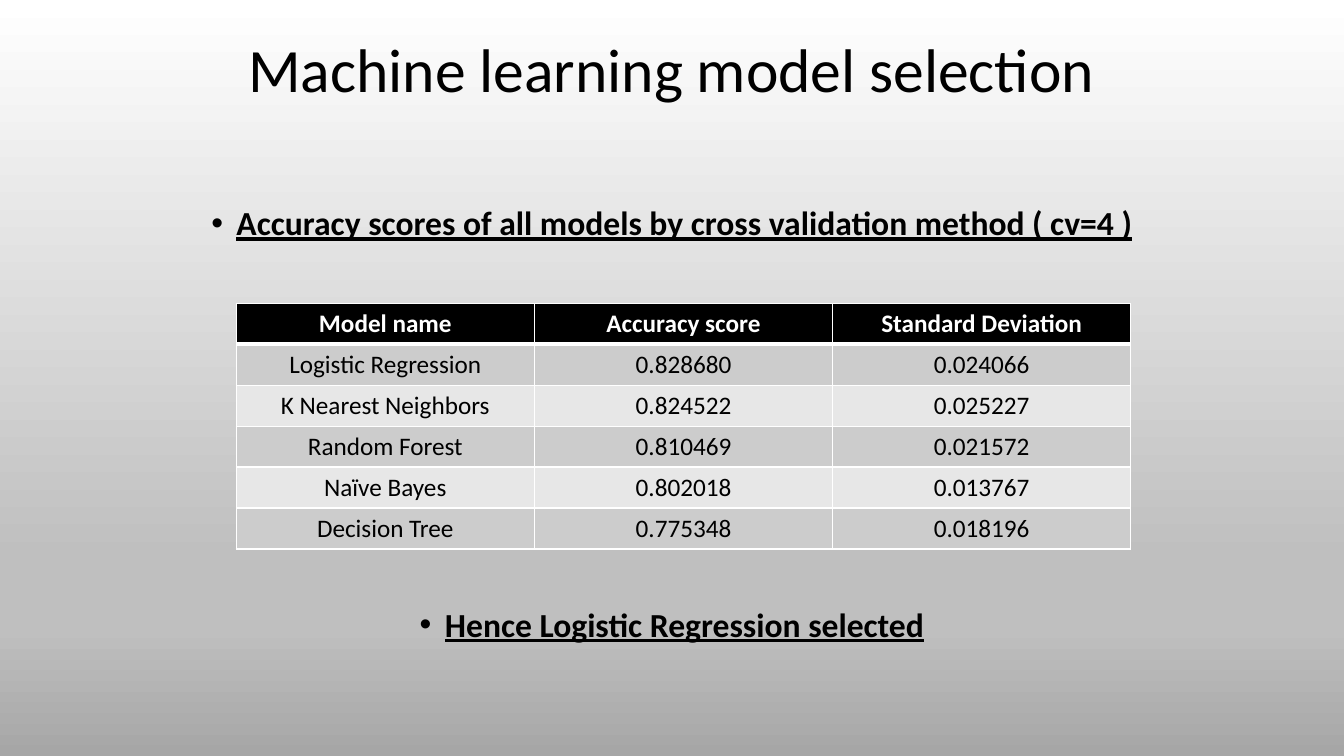
from dataclasses import dataclass

from lxml.etree import SubElement
from pptx import Presentation
from pptx.dml.color import RGBColor
from pptx.enum.text import MSO_ANCHOR as Anchor, PP_ALIGN as Align
from pptx.oxml.ns import qn
from pptx.slide import Slide
from pptx.table import _Cell as Cell
from pptx.text.text import _Paragraph as Paragraph, TextFrame
from pptx.util import Pt

EMU_PER_PX = 9525
FONT = "Calibri"
BLACK, WHITE = "000000", "FFFFFF"
BAND_FILLS = ("CCCCCC", "E7E7E7")
BACKGROUND_STOPS = ((0, "FFFFFF"), (74, "BFBFBF"), (83, "BFBFBF"), (100, "A6A6A6"))
BULLET_INDENT = 24
COLUMN_WIDTH, ROW_HEIGHT = 284, 39


@dataclass(frozen=True)
class Box:
    left: int
    top: int
    width: int
    height: int

    def emu(self) -> tuple[int, int, int, int]:
        return px(self.left), px(self.top), px(self.width), px(self.height)


@dataclass(frozen=True)
class Point:
    text: str
    space_before: int


@dataclass(frozen=True)
class ModelScore:
    name: str
    accuracy: str
    deviation: str

    def values(self) -> tuple[str, str, str]:
        return self.name, self.accuracy, self.deviation


TITLE_BOX = Box(88, 0, 1104, 139)
BODY_BOX = Box(88, 192, 1104, 457)
POINTS = (
    Point("Accuracy scores of all models by cross validation method ( cv=4 )", 10),
    Point("Hence Logistic Regression selected", 261),
)
HEADINGS = ModelScore("Model name", "Accuracy score", "Standard Deviation")
SCORES = (
    ModelScore("Logistic Regression", "0.828680", "0.024066"),
    ModelScore("K Nearest Neighbors", "0.824522", "0.025227"),
    ModelScore("Random Forest", "0.810469", "0.021572"),
    ModelScore("Naïve Bayes", "0.802018", "0.013767"),
    ModelScore("Decision Tree", "0.775348", "0.018196"),
)
TABLE_BOX = Box(225, 289, 3 * COLUMN_WIDTH, (len(SCORES) + 1) * ROW_HEIGHT)


def px(length: int) -> int:
    return length * EMU_PER_PX


def rgb(color: str) -> RGBColor:
    return RGBColor.from_string(color)


def write_text(paragraph: Paragraph, text: str, *, size: int, color: str = BLACK,
               bold: bool = False, underline: bool = False,
               line_spacing: float = 1.0, space_before: int = 0) -> None:
    paragraph.alignment = Align.CENTER
    paragraph.line_spacing = line_spacing
    paragraph.space_before = Pt(space_before)
    run = paragraph.add_run()
    run.text = text
    font = run.font
    font.name, font.size = FONT, Pt(size)
    font.bold, font.underline = bold, underline
    font.color.rgb = rgb(color)


def add_bullet(paragraph: Paragraph) -> None:
    properties = paragraph._p.get_or_add_pPr()
    properties.set("marL", str(px(BULLET_INDENT)))
    properties.set("indent", str(-px(BULLET_INDENT)))
    SubElement(properties, qn("a:buFont"), typeface="Arial")
    SubElement(properties, qn("a:buChar"), char="•")


def set_background(slide: Slide) -> None:
    fill = slide.background.fill
    fill.gradient()
    fill.gradient_angle = 270
    stop_list = next(slide.element.iter(qn("a:gsLst")))
    for stop in list(stop_list):
        stop_list.remove(stop)
    for percent, color in BACKGROUND_STOPS:
        stop = SubElement(stop_list, qn("a:gs"), pos=str(percent * 1000))
        SubElement(stop, qn("a:srgbClr"), val=color)


def add_text_frame(slide: Slide, box: Box, anchor: Anchor) -> TextFrame:
    frame = slide.shapes.add_textbox(*box.emu()).text_frame
    frame.word_wrap = True
    frame.vertical_anchor = anchor
    return frame


def set_borders(cell: Cell, top: int, bottom: int) -> None:
    """Draw white borders; widths in points, with 1 point at the sides."""
    properties = cell._tc.get_or_add_tcPr()
    widths = {"a:lnL": 1, "a:lnR": 1, "a:lnT": top, "a:lnB": bottom}
    for position, (tag, width) in enumerate(widths.items()):
        line = SubElement(properties, qn(tag), w=str(Pt(width)))
        SubElement(SubElement(line, qn("a:solidFill")), qn("a:srgbClr"), val=WHITE)
        properties.insert(position, line)


def add_score_table(slide: Slide) -> None:
    rows = (HEADINGS, *SCORES)
    table = slide.shapes.add_table(len(rows), 3, *TABLE_BOX.emu()).table
    table.horz_banding = False
    for column in table.columns:
        column.width = px(COLUMN_WIDTH)
    for row_index, score in enumerate(rows):
        table.rows[row_index].height = px(ROW_HEIGHT)
        is_header = row_index == 0
        fill_color = BLACK if is_header else BAND_FILLS[(row_index - 1) % 2]
        for column_index, value in enumerate(score.values()):
            cell = table.cell(row_index, column_index)
            cell.fill.solid()
            cell.fill.fore_color.rgb = rgb(fill_color)
            set_borders(cell, top=3 if row_index == 1 else 1, bottom=3 if is_header else 1)
            write_text(cell.text_frame.paragraphs[0], value, size=18, bold=is_header,
                       color=WHITE if is_header else BLACK)


def main() -> None:
    presentation = Presentation()
    presentation.slide_width, presentation.slide_height = px(1280), px(720)
    slide = presentation.slides.add_slide(presentation.slide_layouts[6])
    set_background(slide)

    title = add_text_frame(slide, TITLE_BOX, Anchor.MIDDLE)
    write_text(title.paragraphs[0], "Machine learning model selection",
               size=44, line_spacing=0.9)

    body = add_text_frame(slide, BODY_BOX, Anchor.TOP)
    for index, point in enumerate(POINTS):
        paragraph = body.add_paragraph() if index else body.paragraphs[0]
        write_text(paragraph, point.text, size=24, bold=True, underline=True,
                   line_spacing=0.9, space_before=point.space_before)
        add_bullet(paragraph)

    add_score_table(slide)
    presentation.save("out.pptx")


if __name__ == "__main__":
    main()
